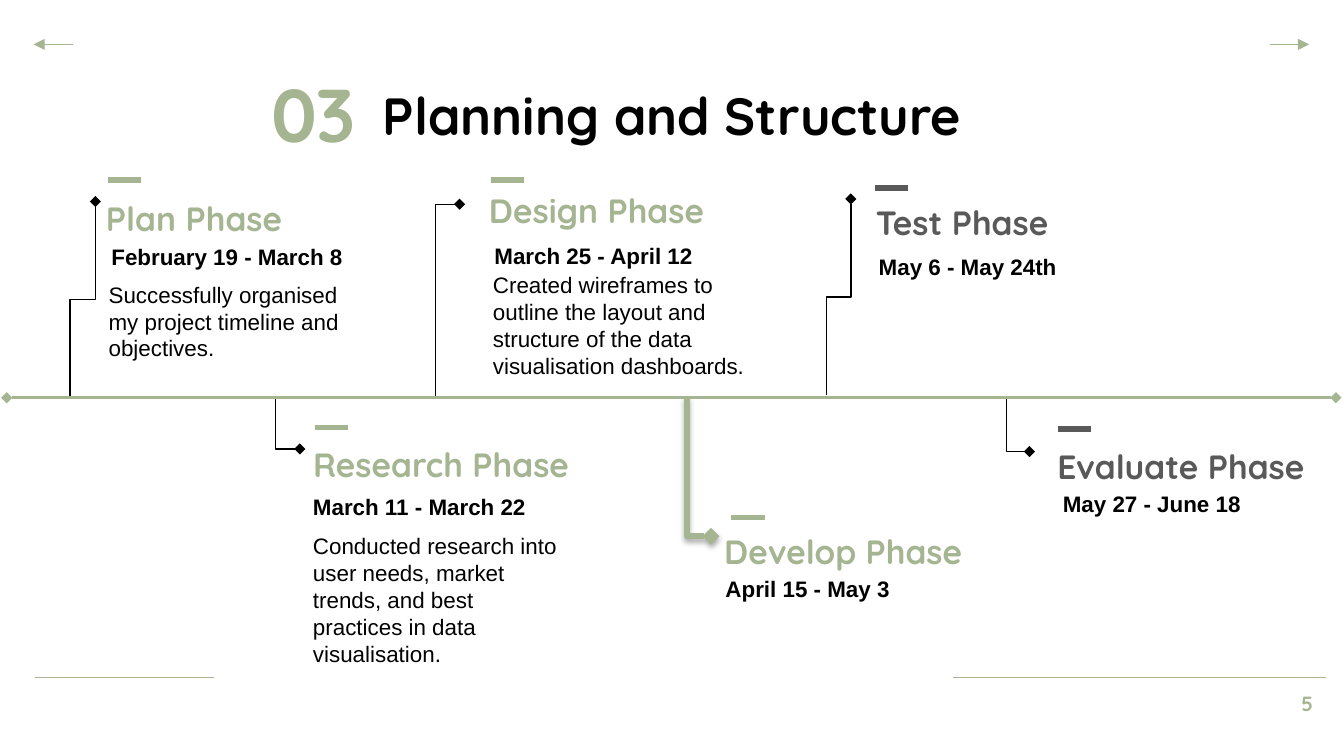
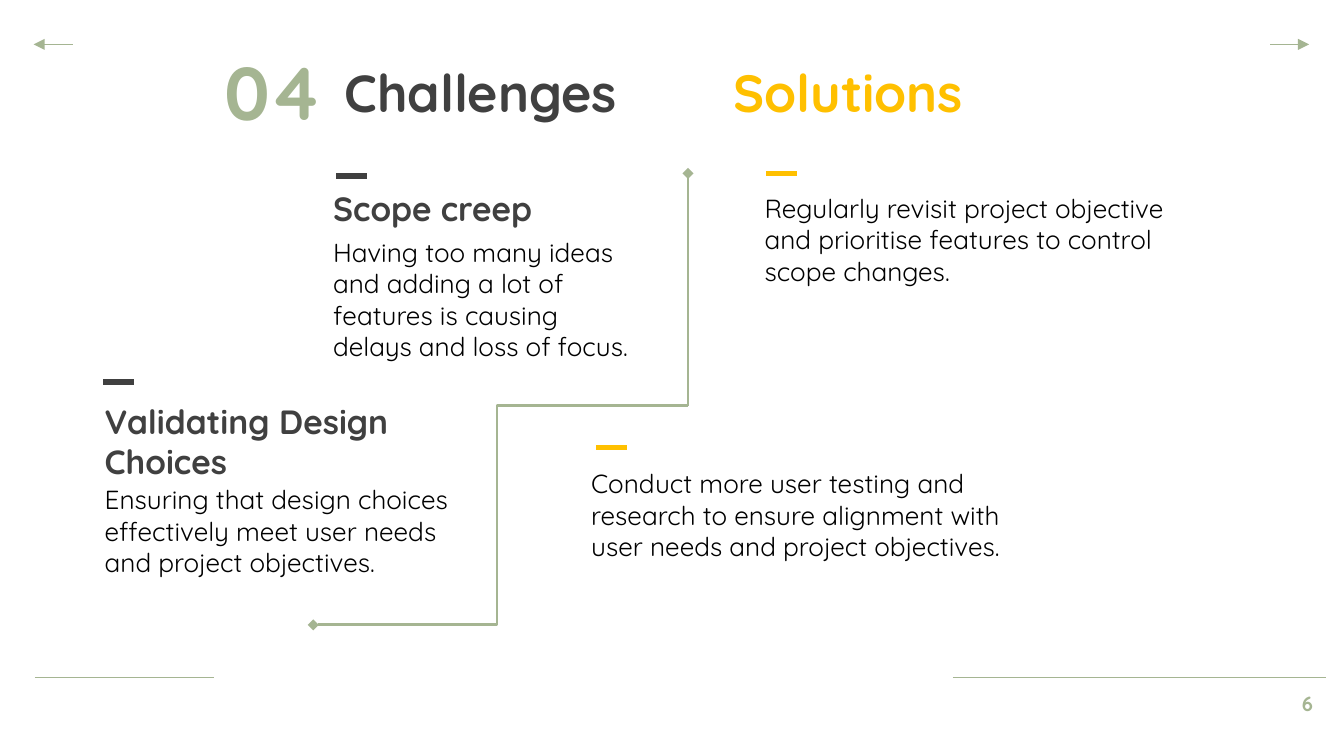
from dataclasses import dataclass
from typing import Optional

from lxml.etree import SubElement
from pptx import Presentation
from pptx.dml.color import RGBColor
from pptx.enum.shapes import MSO_CONNECTOR
from pptx.enum.text import MSO_ANCHOR, MSO_AUTO_SIZE, PP_ALIGN
from pptx.oxml.ns import qn
from pptx.util import Pt

SAGE = RGBColor(0xA5, 0xB5, 0x92)
BLACK = RGBColor(0, 0, 0)
GREY = RGBColor(0x59, 0x59, 0x59)
CHARCOAL = RGBColor(0x40, 0x40, 0x40)
AMBER = RGBColor(0xFF, 0xC0, 0x00)
HEADING_FONT = "Quicksand"
DATE_FONT = "Arial"
INSET = 7.2
TITLE_ONLY = 5


@dataclass
class Phase:
    """A timeline entry; dash, dates and note are offsets from the heading."""
    name: str
    color: RGBColor
    box: tuple
    dash: tuple
    dates: str
    dates_at: tuple
    marker: tuple
    foot: tuple
    rotation: int = 180
    note: str = ""
    note_box: tuple = ()
    current: bool = False


PHASES = [
    Phase("Plan Phase", SAGE, (49.7, 98.6, 129.6), (7.9, -2.1),
          "February 19 - March 8", (2.9, 24.5), (51.1, 108), (37.4, 213.1), 90,
          "Successfully organised my project timeline and objectives.",
          (1.4, 44.7, 143.3)),
    Phase("Research Phase", SAGE, (160.6, 230.4, 157.7), (7.9, -1.4),
          "March 11 - March 22", (0, 26.6), (160.6, 240.5), (147.6, 212.4),
          note="Conducted research into user needs, market trends, "
               "and best practices in data visualisation.",
          note_box=(0, 47.5, 151.2)),
    Phase("Design Phase", SAGE, (254.9, 94.3, 151.2), (7.9, 2.2),
          "March 25 - April 12", (2.9, 28.1), (246.2, 109.4), (233.3, 213.8),
          note="Created wireframes to outline the layout and structure "
               "of the data visualisation dashboards.",
          note_box=(2.1, 43.9, 152.6)),
    Phase("Develop Phase", SAGE, (380.9, 277.2, 144), (10.8, 0),
          "April 15 - May 3", (0.7, 23.8), (380.9, 287.3), (367.9, 212.4),
          current=True),
    Phase("Test Phase", GREY, (462.2, 100.8, 129.6), (6.5, 0),
          "May 6 - May 24th", (1.5, 27.4), (455.8, 106.6), (442.8, 211.7), 90),
    Phase("Evaluate Phase", GREY, (559.4, 231.8, 151.2), (7.2, -2.1),
          "May 27 - June 18", (2.9, 23.8), (551.5, 241.9), (539.3, 213.8)),
]


def add_run(paragraph, text, size=12, color=BLACK, font=HEADING_FONT, bold=False):
    run = paragraph.add_run()
    run.text = text
    run.font.size = Pt(size)
    run.font.name = font
    run.font.bold = bold
    run.font.color.rgb = color


def prepare_frame(frame, anchor=MSO_ANCHOR.TOP, left=INSET, top=INSET):
    frame.word_wrap = True
    frame.auto_size = MSO_AUTO_SIZE.NONE
    frame.vertical_anchor = anchor
    frame.margin_left, frame.margin_top = Pt(left), Pt(top)
    frame.margin_right = frame.margin_bottom = Pt(INSET)
    return frame.paragraphs[0]


def add_text(slide, text, box, align=PP_ALIGN.LEFT, anchor=MSO_ANCHOR.TOP,
             top_inset=INSET, **style):
    shape = slide.shapes.add_textbox(*map(Pt, box))
    paragraph = prepare_frame(shape.text_frame, anchor, top=top_inset)
    paragraph.alignment = align
    add_run(paragraph, text, **style)


def style_line(connector, color, width, head=None, tail=None, shadow=False):
    connector.line.color.rgb = color
    connector.line.width = Pt(width)
    properties = connector.element.spPr
    line = properties.find(qn("a:ln"))
    for tag, kind in (("a:headEnd", head), ("a:tailEnd", tail)):
        if kind:
            SubElement(line, qn(tag), type=kind)
    effects = SubElement(properties, qn("a:effectLst"))
    if shadow:
        outer = SubElement(effects, qn("a:outerShdw"), blurRad="40000",
                           dist="23000", dir="5400000", rotWithShape="0")
        shade = SubElement(outer, qn("a:srgbClr"), val="000000")
        SubElement(shade, qn("a:alpha"), val="35000")


def add_line(slide, start, end, color=SAGE, width=0.75, **ends):
    connector = slide.shapes.add_connector(
        MSO_CONNECTOR.STRAIGHT, *map(Pt, (*start, *end)))
    style_line(connector, color, width, **ends)


def add_elbow(slide, start, end, preset, rotation=180, bend=None, **style):
    """Elbow running down and left (90), or left first (180)."""
    width, height = abs(end[0] - start[0]), abs(end[1] - start[1])
    if rotation == 90:
        width, height = height, width
    left = (start[0] + end[0] - width) / 2
    top = (start[1] + end[1] - height) / 2
    connector = slide.shapes.add_connector(
        MSO_CONNECTOR.ELBOW, *map(Pt, (left, top, left + width, top + height)))
    properties = connector.element.spPr
    frame = properties.find(qn("a:xfrm"))
    frame.set("rot", str(rotation * 60000))
    if rotation == 180 and start[1] < end[1]:
        frame.set("flipV", "1")
    geometry = properties.find(qn("a:prstGeom"))
    geometry.set("prst", preset)
    if bend:
        SubElement(geometry.find(qn("a:avLst")), qn("a:gd"),
                   name="adj1", fmla=f"val {round(bend * 100000)}")
    style_line(connector, **style)


def add_dash(slide, left, top, color, length=18):
    add_line(slide, (left, top), (left + length, top), color, 3)


def add_base_slide(presentation, page):
    slide = presentation.slides.add_slide(presentation.slide_layouts[TITLE_ONLY])
    add_line(slide, (18.7, 362.9), (114.5, 362.9))
    add_line(slide, (510.5, 362.9), (710.6, 362.9))
    add_text(slide, str(page), (664.6, 362.9, 46, 31), align=PP_ALIGN.RIGHT,
             size=11, color=SAGE, bold=True)
    add_line(slide, (680.4, 23.8), (701.3, 23.8), tail="triangle")
    add_line(slide, (38.9, 23.8), (18, 23.8), tail="triangle")
    return slide


def add_title(slide, number, number_at, title_at, parts, left_inset=INSET,
              align=PP_ALIGN.CENTER, tab: Optional[float] = None):
    """Section number and title; parts are (text, colour) pairs."""
    title = slide.shapes.title
    title.left, title.top = map(Pt, title_at)
    title.width, title.height = Pt(488.2), Pt(45.4)
    paragraph = prepare_frame(title.text_frame, left=left_inset)
    paragraph.alignment = align
    if tab:
        stops = SubElement(paragraph._p.get_or_add_pPr(), qn("a:tabLst"))
        SubElement(stops, qn("a:tab"), pos=str(Pt(tab)), algn="l")
    for text, color in parts:
        add_run(paragraph, text, size=28, color=color, bold=True)
    add_text(slide, number, (*number_at, 74.9, 58.3), anchor=MSO_ANCHOR.BOTTOM,
             top_inset=0, size=40, color=SAGE, bold=True)


def add_phase(slide, phase):
    left, top, width = phase.box
    add_elbow(slide, phase.marker, phase.foot,
              "bentConnector3" if phase.rotation == 90 else "bentConnector2",
              phase.rotation, color=SAGE if phase.current else BLACK,
              width=3 if phase.current else 0.75, head="diamond",
              shadow=phase.current)
    add_dash(slide, left + phase.dash[0], top + phase.dash[1], phase.color)
    add_text(slide, phase.name, (left, top, width, 19.4),
             size=18, color=phase.color, bold=True)
    dates_left, dates_top = phase.dates_at
    add_text(slide, phase.dates, (left + dates_left, top + dates_top, 148.3, 24.5),
             font=DATE_FONT, bold=True)
    if phase.note:
        note_left, note_top, note_width = phase.note_box
        add_text(slide, phase.note,
                 (left + note_left, top + note_top, note_width, 53.3),
                 font=DATE_FONT)


def add_point(slide, box, color, dash, body, body_top=0, heading=""):
    """Dash, optional heading and body text in a (left, top, width) box."""
    left, top, width = box
    add_dash(slide, left + dash[0], top + dash[1], color, 16.4)
    if heading:
        add_text(slide, heading, (left, top, width, 25.9),
                 size=18, color=color, bold=True)
    add_text(slide, body, (left, top + body_top, width, 53.3), size=14)


def build_timeline(presentation):
    slide = add_base_slide(presentation, 5)
    add_title(slide, "03", (138.2, 33.1), (115.9, 37.4),
              [("Planning and Structure", BLACK)])
    for phase in PHASES:
        add_phase(slide, phase)
    add_line(slide, (3.6, 213.1), (715.7, 213.1), width=1.5,
             head="diamond", tail="diamond")


def build_challenges(presentation):
    slide = add_base_slide(presentation, 6)
    add_title(slide, "04", (113, 21.6), (108, 25.2),
              [("Challenges\t", CHARCOAL), ("Solutions", AMBER)],
              left_inset=76.5, align=PP_ALIGN.LEFT, tab=208.5)
    corner = (368.6, 217.4)
    add_line(slide, (corner[0], 92.9), corner, width=1.5, head="diamond")
    add_elbow(slide, corner, (167.8, 334.8), "bentConnector3", bend=0.51,
              color=SAGE, width=1.5, tail="diamond")
    add_point(slide, (171.4, 93.6, 180), CHARCOAL, (8.8, 0.7),
              "Having too many ideas and adding a lot of features is causing "
              "delays and loss of focus.", 25.9, "Scope creep")
    add_point(slide, (49, 207.4, 211), CHARCOAL, (6.3, -2.9),
              "Ensuring that design choices effectively meet user needs "
              "and project objectives.", 44.6, "Validating Design Choices")
    add_point(slide, (402.5, 95.8, 234), AMBER, (8.1, -2.9),
              "Regularly revisit project objective and prioritise features "
              "to control scope changes.")
    add_point(slide, (309.6, 243.4, 234), AMBER, (9.9, -3.6),
              "Conduct more user testing and research to ensure alignment "
              "with user needs and project objectives.")


def main():
    presentation = Presentation()
    presentation.slide_width, presentation.slide_height = Pt(720), Pt(405)
    build_timeline(presentation)
    build_challenges(presentation)
    presentation.save("out.pptx")


if __name__ == "__main__":
    main()
